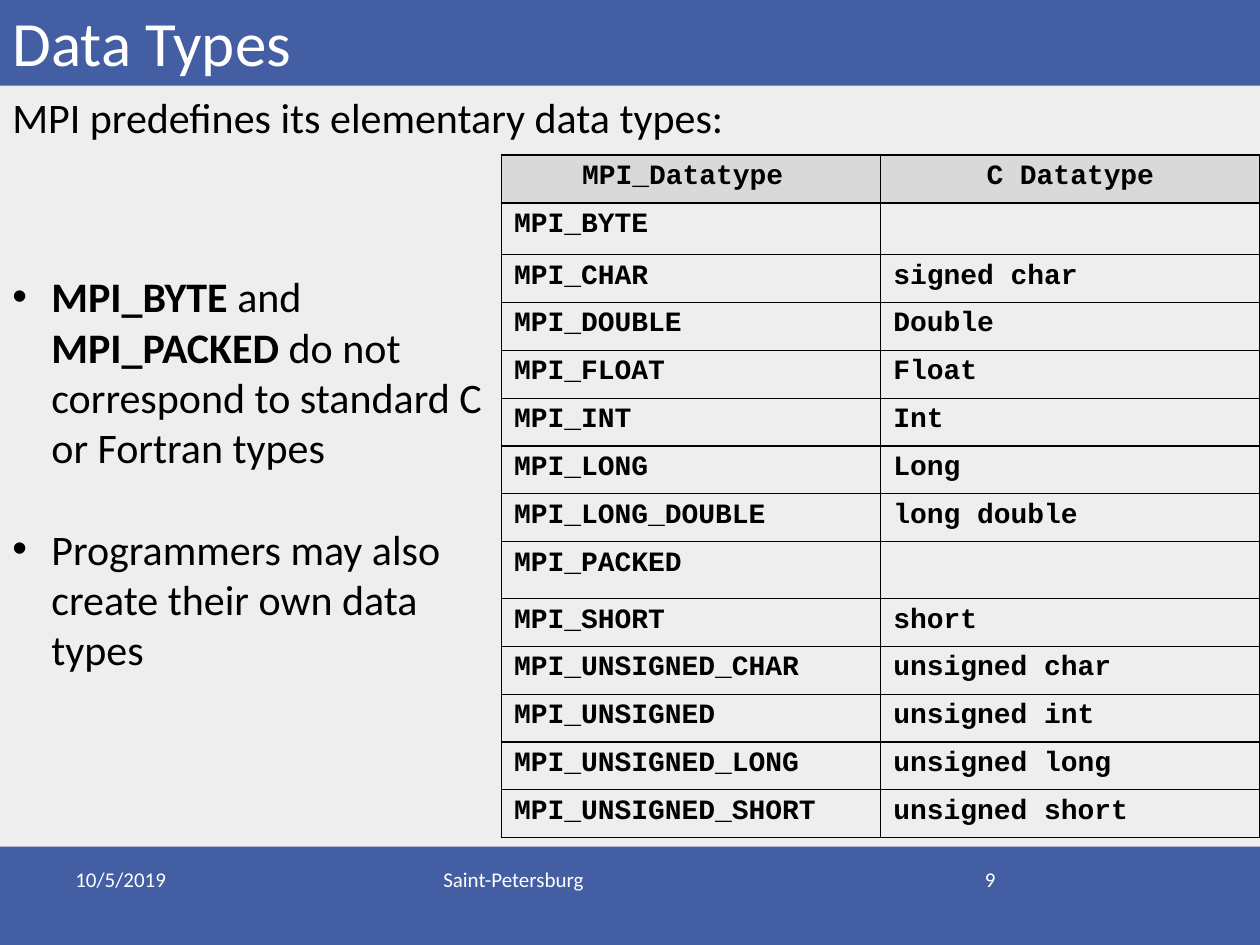
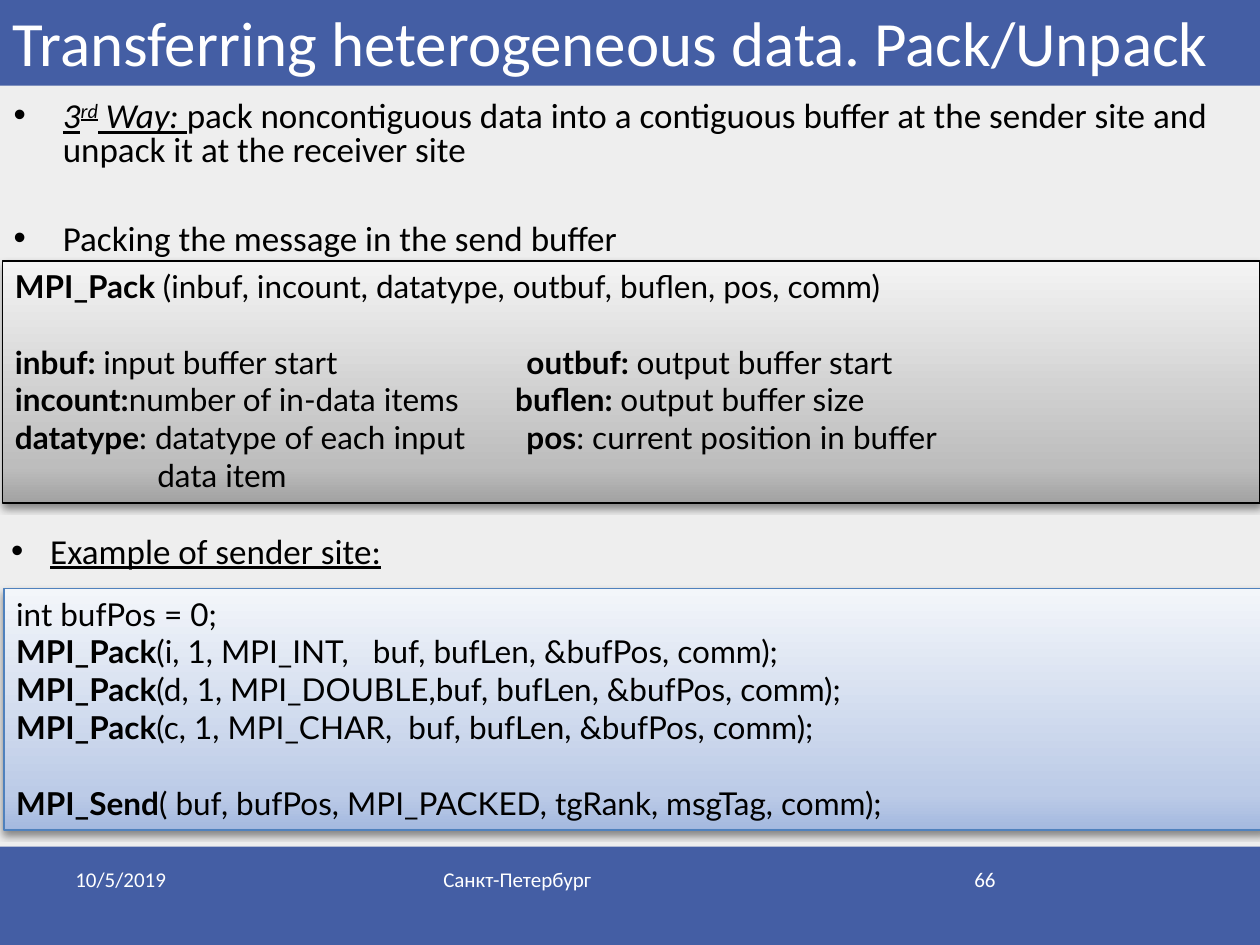
"""Builds two slides on MPI data types and on packing heterogeneous data."""
from pptx import Presentation
from pptx.dml.color import RGBColor
from pptx.enum.shapes import MSO_SHAPE
from pptx.enum.text import MSO_ANCHOR, MSO_AUTO_SIZE, PP_ALIGN
from pptx.oxml import parse_xml
from pptx.oxml.ns import nsdecls
from pptx.util import Pt

PX = 9144
COLORS = {
    "background": "EEEEEE", "band": "445EA4", "white": "FFFFFF", "black": "000000",
    "header": "D9D9D9", "blue line": "4F81BD",
}
GRAY_STOPS = [(0, "A2A2A2"), (15, "BDBDBD"), (100, "F4F4F4")]
BLUE_STOPS = [(0, "A3B8DF"), (15, "BCCBE7"), (100, "F3F6FA")]


def color(name):
    return RGBColor.from_string(COLORS[name])


def write(frame, paragraphs, size, font="Calibri", ink="black", align=PP_ALIGN.LEFT,
          indent=0, before={}, after=0, spacing=None, tabs={}):
    """Fill a frame; runs are (text, style) with b, i, u and ^ as style letters."""
    frame.word_wrap = True
    for index, runs in enumerate(paragraphs):
        paragraph = frame.paragraphs[0] if index == 0 else frame.add_paragraph()
        properties = paragraph._p.get_or_add_pPr()
        if indent:
            properties.set("marL", str(indent * PX))
            properties.set("indent", str(-indent * PX))
            properties.append(parse_xml(f'<a:buFont {nsdecls("a")} typeface="Arial"/>'))
            properties.append(parse_xml(f'<a:buChar {nsdecls("a")} char="•"/>'))
        if index in tabs:
            properties.append(parse_xml(
                f'<a:tabLst {nsdecls("a")}><a:tab pos="{tabs[index] * PX}" algn="l"/></a:tabLst>'))
        paragraph.alignment = align
        paragraph.space_before = Pt(before.get(index, 0))
        paragraph.space_after = Pt(after)
        if spacing:
            paragraph.line_spacing = spacing
        for text, style in [(runs, "")] if isinstance(runs, str) else runs:
            run = paragraph.add_run()
            run.text = text
            run.font.size = Pt(size)
            run.font.name = font
            run.font.color.rgb = color(ink)
            run.font.bold = "b" in style
            run.font.italic = "i" in style
            run.font.underline = "u" in style
            if "^" in style:
                run._r.get_or_add_rPr().set("baseline", "30000")


presentation = Presentation()
presentation.slide_width, presentation.slide_height = 1000 * PX, 750 * PX
master = presentation.slide_master
master.background.fill.solid()
master.background.fill.fore_color.rgb = color("background")

slides = []
for title_text, place, number in [
    ("Data Types", "Saint-Petersburg", "9"),
    ("Transferring heterogeneous data. Pack/Unpack", "Санкт-Петербург", "66"),
]:
    slide = presentation.slides.add_slide(presentation.slide_layouts[5])
    slides.append(slide)
    title = slide.shapes.title
    title.left, title.top, title.width, title.height = 0, -21 * PX, 1000 * PX, 89 * PX
    title.text_frame.auto_size = MSO_AUTO_SIZE.NONE
    title.text_frame.vertical_anchor = MSO_ANCHOR.BOTTOM
    write(title.text_frame, [title_text], 36, ink="white")
    for text, left, width, align in [
        ("10/5/2019", 50, 233, PP_ALIGN.LEFT),
        (number, 717, 83, PP_ALIGN.RIGHT),
        (place, 342, 317, PP_ALIGN.LEFT),
    ]:
        footer = slide.shapes.add_textbox(left * PX, 683 * PX, width * PX, 52 * PX)
        write(footer.text_frame, [text], 12, ink="white", align=align)

types_slide, pack_slide = slides
for top, height in [(672, 78), (0, 68)]:
    band = types_slide.shapes.add_shape(MSO_SHAPE.RECTANGLE, 0, top * PX, 1000 * PX, height * PX)
    band.shadow.inherit = False
    band.fill.solid()
    band.fill.fore_color.rgb = color("band")
    band.line.fill.background()
    master.shapes.element.insert(2, band.element)

datatypes = [
    ("MPI_Datatype ", "C Datatype"),
    ("MPI_BYTE", ""),
    ("MPI_CHAR", "signed char"),
    ("MPI_DOUBLE", "Double"),
    ("MPI_FLOAT", "Float"),
    ("MPI_INT", "Int"),
    ("MPI_LONG", "Long"),
    ("MPI_LONG_DOUBLE", "long double"),
    ("MPI_PACKED", ""),
    ("MPI_SHORT", "short"),
    ("MPI_UNSIGNED_CHAR", "unsigned char"),
    ("MPI_UNSIGNED", "unsigned int"),
    ("MPI_UNSIGNED_LONG", "unsigned long"),
    ("MPI_UNSIGNED_SHORT", "unsigned short"),
]
row_heights = {1: 41, 8: 45}
table = types_slide.shapes.add_table(
    len(datatypes), 2, 398 * PX, 123 * PX, 602 * PX, 543 * PX).table
table.first_row = table.horz_banding = False
for row_index, names in enumerate(datatypes):
    table.rows[row_index].height = row_heights.get(row_index, 38) * PX
    top_width = 1 if row_index < 2 else 0.75
    bottom_width = 1 if row_index in (0, len(datatypes) - 1) else 0.75
    for column_index, name in enumerate(names):
        cell = table.cell(row_index, column_index)
        for side, width in zip("LRTB", (1, 1, top_width, bottom_width)):
            cell._tc.get_or_add_tcPr().append(parse_xml(
                f'<a:ln{side} {nsdecls("a")} w="{Pt(width)}"><a:solidFill>'
                f'<a:srgbClr val="{COLORS["black"]}"/></a:solidFill></a:ln{side}>'))
        if row_index == 0:
            cell.fill.solid()
            cell.fill.fore_color.rgb = color("header")
        else:
            cell.fill.background()
        if name:
            write(cell.text_frame, [[(name, "b")]], 16, "Courier New",
                  align=PP_ALIGN.JUSTIFY if row_index else PP_ALIGN.CENTER)

intro = types_slide.shapes.add_textbox(0, 68 * PX, 596 * PX, 50 * PX)
write(intro.text_frame, ["MPI predefines its elementary data types:"], 24)
remarks = types_slide.shapes.add_textbox(0, 210 * PX, 410 * PX, 333 * PX)
write(remarks.text_frame, [
    [("MPI_BYTE", "b"), (" and ", ""), ("MPI_PACKED", "b"),
     (" do not correspond to standard C or Fortran types", "")],
    "Programmers may also create their own data types",
], 24, indent=31, before={1: 29})

third_way = pack_slide.shapes.add_textbox(1 * PX, 76 * PX, 999 * PX, 71 * PX)
write(third_way.text_frame, [
    [("3", "iu"), ("rd", "iu^"), (" Way: ", "iu"),
     ("pack noncontiguous data into a contiguous buffer at the sender site and "
      "unpack it at the receiver site", "")],
    "Packing the message in the send buffer",
], 20, indent=39, before={1: 25.5}, after=6, spacing=0.8)

signature = [
    [("MPI_Pack ", "b"), ("(inbuf, incount, datatype, outbuf, buflen, pos, comm)", "")],
    [("inbuf: ", "b"), ("input buffer start\t", ""),
     ("outbuf: ", "b"), ("output buffer start", "")],
    [("incount:", "b"), ("number of in-data items\t", ""),
     ("buflen: ", "b"), ("output buffer size", "")],
    [("datatype", "b"), (": datatype of each input\t", ""),
     ("pos", "b"), (": current position in buffer", "")],
    "\tdata item",
]
sender_code = [
    "int bufPos = 0;",
    [("MPI_Pack", "b"), ("(i, 1, MPI_INT,   buf, bufLen, &bufPos, comm);", "")],
    [("MPI_Pack", "b"), ("(d, 1, MPI_DOUBLE,buf, bufLen, &bufPos, comm);", "")],
    [("MPI_Pack", "b"), ("(c, 1, MPI_CHAR,  buf, bufLen, &bufPos, comm);", "")],
    [("MPI_Send", "b"), ("( buf, bufPos, MPI_PACKED, tgRank, msgTag, comm);", "")],
]
for lines, left, top, width, stops, outline, before, tabs in [
    (signature, 2, 207, 998, GRAY_STOPS, "black", {1: 21.6},
     {1: 406, 2: 397, 3: 406, 4: 113}),
    (sender_code, 3, 467, 1000, BLUE_STOPS, "blue line", {4: 21.6}, {}),
]:
    panel = pack_slide.shapes.add_shape(
        MSO_SHAPE.RECTANGLE, left * PX, top * PX, width * PX, 192 * PX)
    stop_xml = "".join(f'<a:gs pos="{position * 1000}"><a:srgbClr val="{shade}"/></a:gs>'
                       for position, shade in stops)
    panel.element.spPr.insert(2, parse_xml(
        f'<a:gradFill {nsdecls("a")} rotWithShape="1"><a:gsLst>{stop_xml}</a:gsLst>'
        '<a:lin ang="16200000" scaled="0"/></a:gradFill>'))
    panel.line.color.rgb = color(outline)
    panel.line.width = Pt(1)
    panel.shadow.inherit = False
    panel.element.spPr[-1].append(parse_xml(
        f'<a:outerShdw {nsdecls("a")} blurRad="{Pt(4)}" dist="{Pt(2)}" dir="5400000" '
        f'rotWithShape="0"><a:srgbClr val="{COLORS["black"]}"><a:alpha val="43000"/>'
        '</a:srgbClr></a:outerShdw>'))
    panel.text_frame.vertical_anchor = MSO_ANCHOR.TOP
    write(panel.text_frame, lines, 18, "Lato", before=before, tabs=tabs)

example = pack_slide.shapes.add_textbox(-1 * PX, 415 * PX, 318 * PX, 44 * PX)
write(example.text_frame, [[("Example of sender site:", "u")]], 20, indent=31)

presentation.save("out.pptx")
